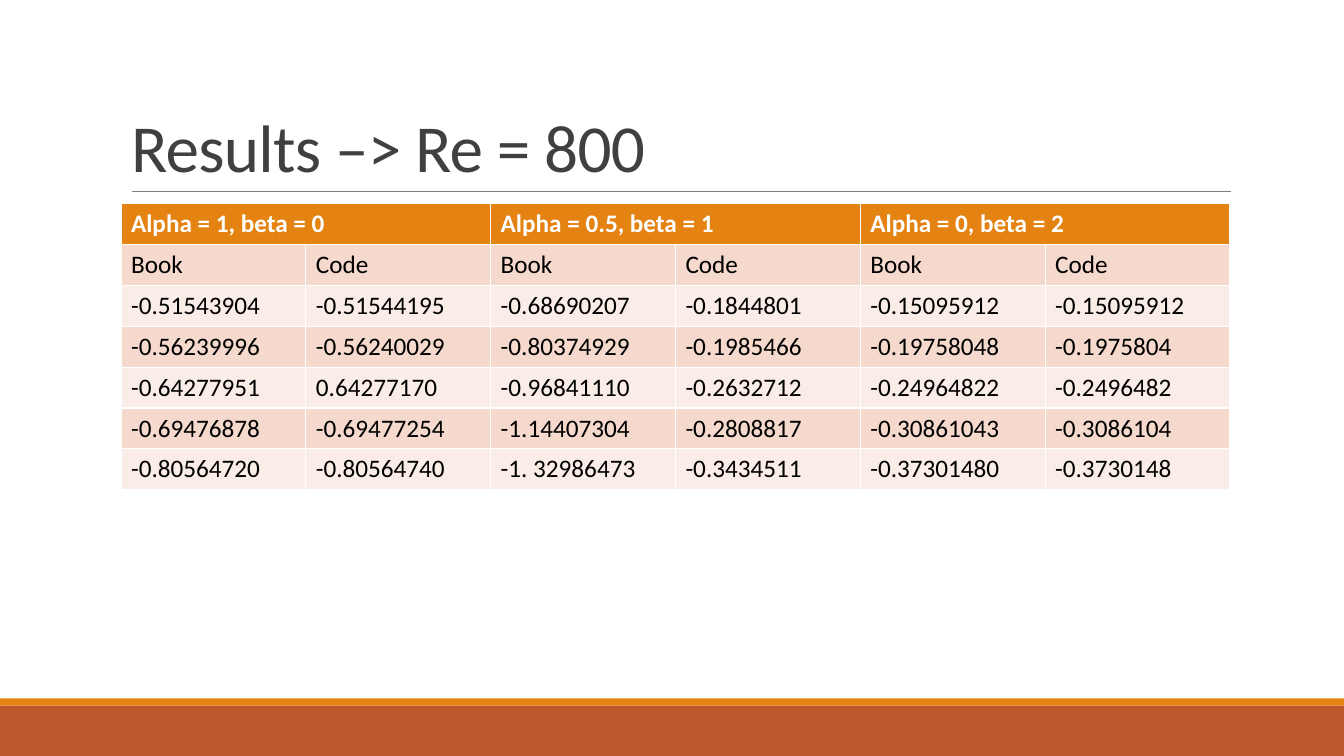
from dataclasses import dataclass

from lxml import etree
from pptx import Presentation
from pptx import util as u
from pptx.dml.color import RGBColor
from pptx.enum import shapes, text
from pptx.oxml.ns import qn


@dataclass(frozen=True)
class Theme:
    font: str = "Calibri"
    title_size: int = 48
    table_size: int = 18
    title: str = "404040"
    rule: str = "808080"
    footer: str = "BD582C"
    accent: str = "E48312"
    header_text: str = "FFFFFF"
    body_text: str = "000000"
    bands: tuple = ("F5D9CC", "FAEDE7")


class SlideBuilder:
    def __init__(self, slide, theme):
        self.slide = slide
        self.theme = theme

    def paint(self, target, color):
        target.fill.solid()
        target.fill.fore_color.rgb = RGBColor.from_string(color)

    def format_runs(self, paragraph, size, color, bold=False):
        for run in paragraph.runs:
            run.font.name = self.theme.font
            run.font.size = u.Pt(size)
            run.font.bold = bold
            run.font.color.rgb = RGBColor.from_string(color)

    def band(self, left, top, width, height, color):
        shape = self.slide.shapes.add_shape(
            shapes.MSO_SHAPE.RECTANGLE, *map(u.Inches, (left, top, width, height)))
        shape.shadow.inherit = False
        self.paint(shape, color)
        shape.line.fill.background()

    def rule(self, left, right, top):
        line = self.slide.shapes.add_connector(
            shapes.MSO_CONNECTOR.STRAIGHT, *map(u.Inches, (left, top, right, top)))
        line.line.color.rgb = RGBColor.from_string(self.theme.rule)
        line.line.width = u.Pt(0.5)
        etree.SubElement(line._element.spPr, qn("a:effectLst"))

    def title(self, wording, left, top, width, height):
        title = self.slide.shapes.title
        title.left, title.top, title.width, title.height = map(
            u.Inches, (left, top, width, height))
        frame = title.text_frame
        frame.text = wording
        frame.word_wrap = True
        frame.auto_size = text.MSO_AUTO_SIZE.NONE
        frame.vertical_anchor = text.MSO_ANCHOR.BOTTOM
        paragraph = frame.paragraphs[0]
        paragraph.alignment = text.PP_ALIGN.LEFT
        paragraph.line_spacing = 0.85
        self.format_runs(paragraph, self.theme.title_size, self.theme.title)
        paragraph.runs[0].font._element.set("spc", "-50")

    def cell(self, cell, wording, fill, color, bold=False):
        cell.text = wording
        self.paint(cell, fill)
        self.format_runs(cell.text_frame.paragraphs[0], self.theme.table_size, color, bold)

    def table(self, groups, rows, left, top, width, height):
        column_count = len(rows[0])
        span = column_count // len(groups)
        table = self.slide.shapes.add_table(
            len(rows) + 1, column_count, *map(u.Inches, (left, top, width, height))).table
        for index, group in enumerate(groups):
            first = index * span
            header = table.cell(0, first)
            header.merge(table.cell(0, first + span - 1))
            self.cell(header, group, self.theme.accent, self.theme.header_text, True)
        for row_index, row in enumerate(rows):
            fill = self.theme.bands[row_index % 2]
            for column, wording in enumerate(row):
                self.cell(table.cell(row_index + 1, column), wording, fill,
                          self.theme.body_text)


GROUPS = ["Alpha = 1, beta = 0", "Alpha = 0.5, beta = 1", "Alpha = 0, beta = 2"]
RESULTS = [
    ["Book", "Code"] * len(GROUPS),
    ["-0.51543904", "-0.51544195", "-0.68690207", "-0.1844801", "-0.15095912", "-0.15095912"],
    ["-0.56239996", "-0.56240029", "-0.80374929", "-0.1985466", "-0.19758048", "-0.1975804"],
    ["-0.64277951", "0.64277170", "-0.96841110", "-0.2632712", "-0.24964822", "-0.2496482"],
    ["-0.69476878", "-0.69477254", "-1.14407304", "-0.2808817", "-0.30861043", "-0.3086104"],
    ["-0.80564720", "-0.80564740", "-1. 32986473", "-0.3434511", "-0.37301480", "-0.3730148"],
]


def main():
    presentation = Presentation()
    presentation.slide_width = u.Inches(13.33)
    presentation.slide_height = u.Inches(7.5)
    theme = Theme()
    slide = presentation.slides.add_slide(presentation.slide_layouts[5])
    builder = SlideBuilder(slide, theme)
    builder.band(0, 7, 13.33, 0.5, theme.footer)
    builder.band(0, 6.93, 13.33, 0.07, theme.accent)
    builder.rule(1.31, 12.21, 1.9)
    builder.title("Results –> Re = 800", 1.2, 0.31, 11, 1.59)
    builder.table(GROUPS, RESULTS, 1.2, 2.02, 11, 2.83)
    presentation.save("out.pptx")


if __name__ == "__main__":
    main()
